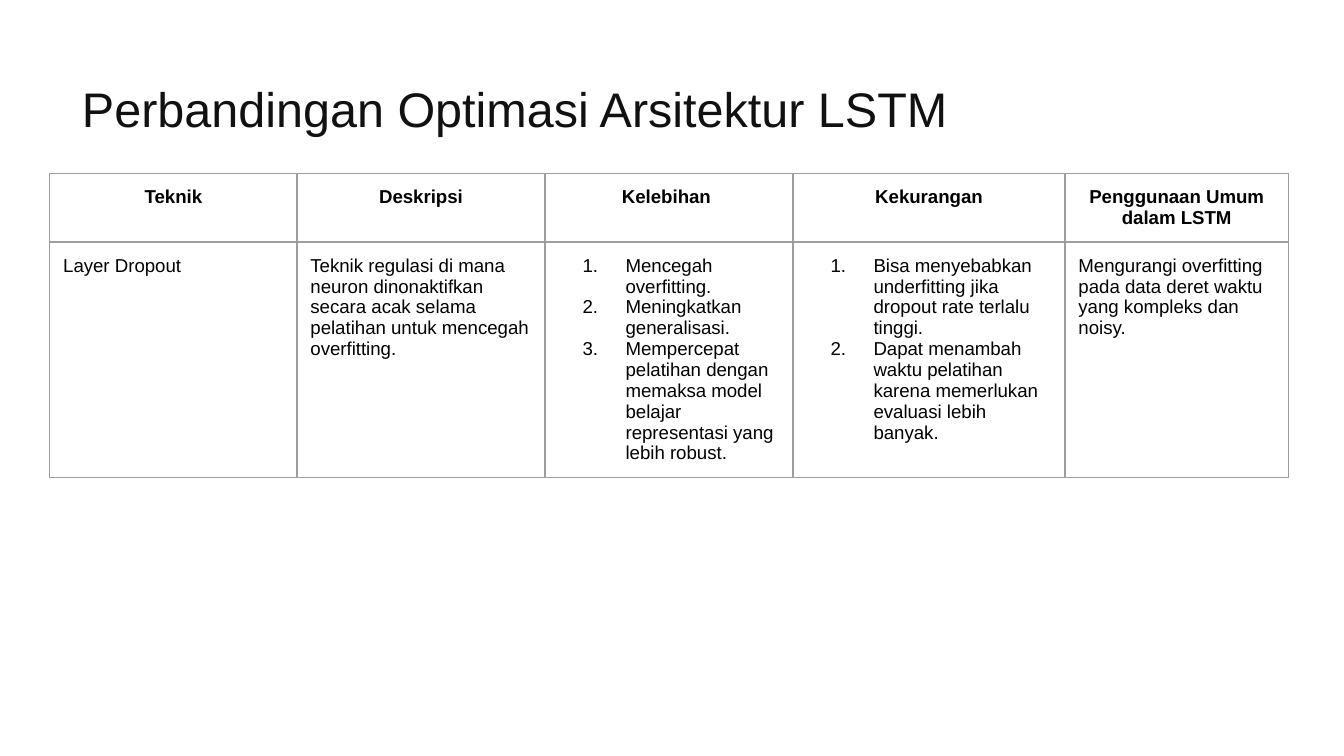
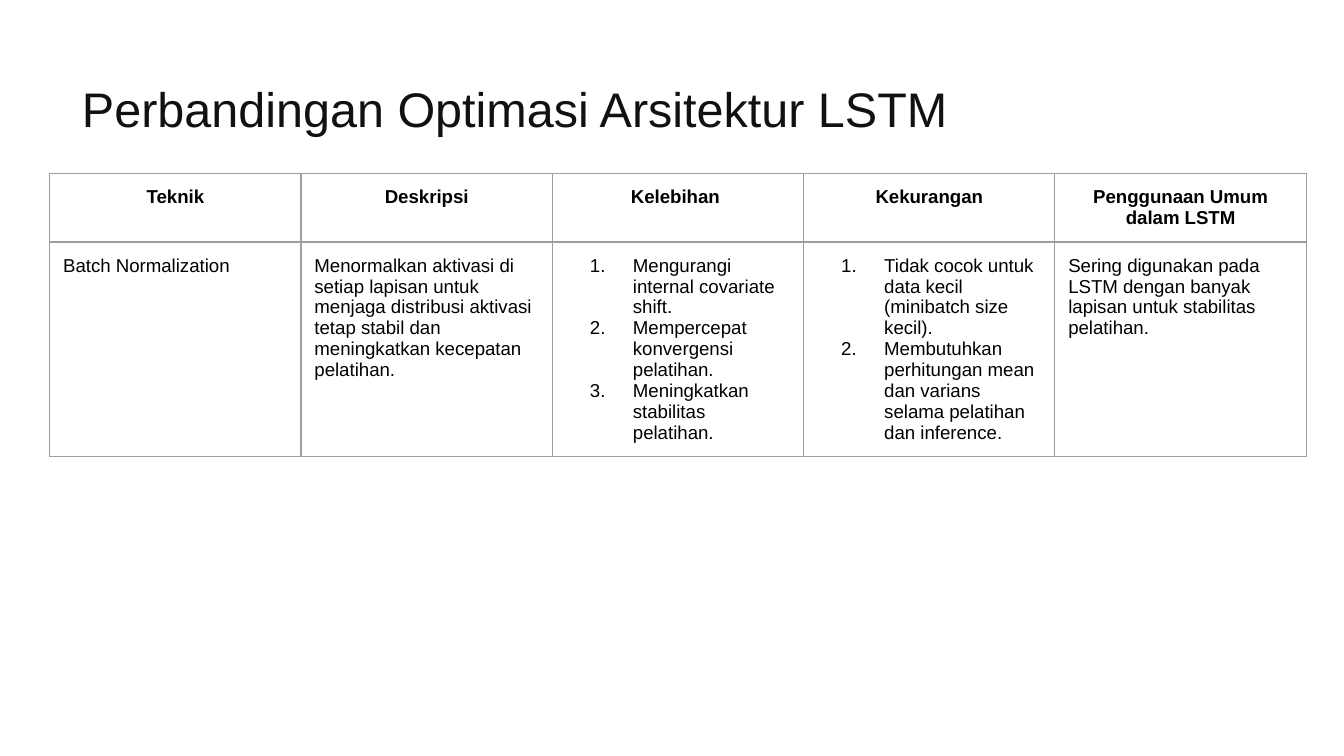
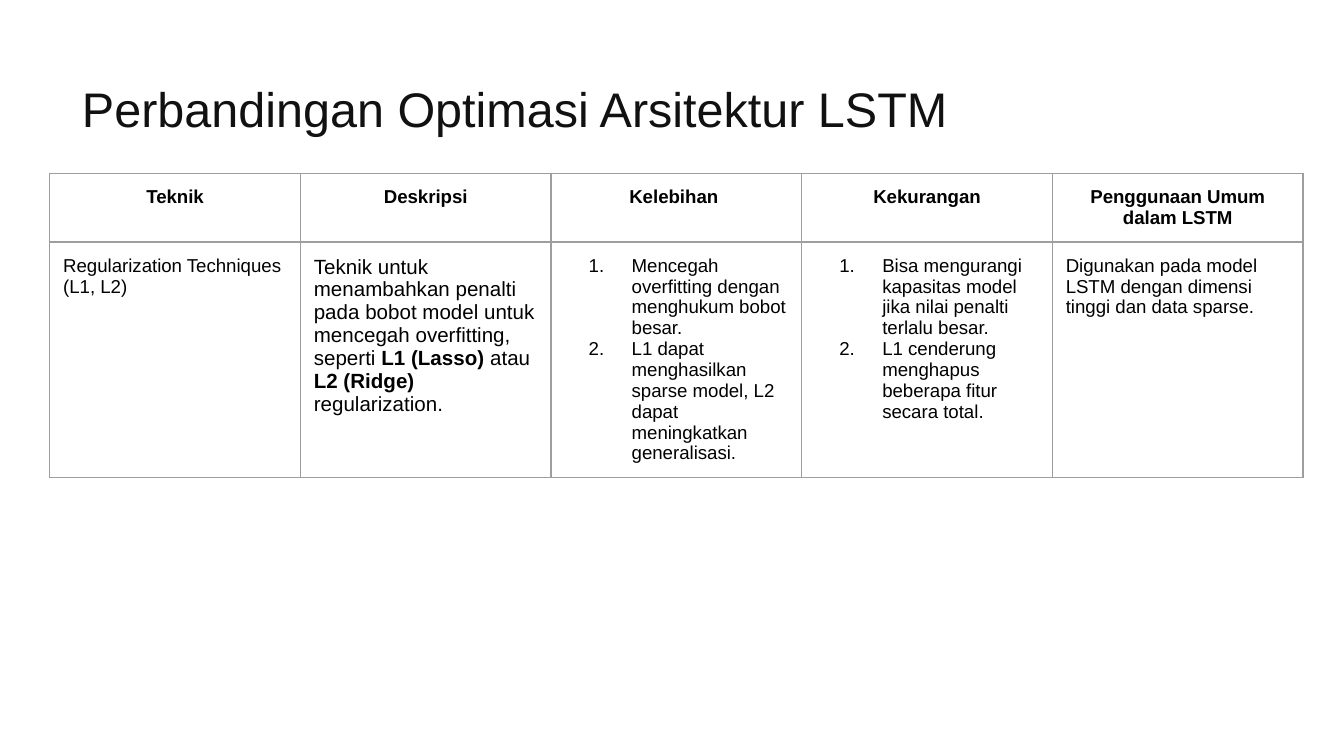
import dataclasses

import lxml.etree
import pptx
import pptx.dml.color
import pptx.enum.text
import pptx.oxml.ns
import pptx.util

PX = 4572
TITLE = "Perbandingan Optimasi Arsitektur LSTM"
HEADERS = ["Teknik", "Deskripsi", "Kelebihan ", "Kekurangan", "Penggunaan Umum dalam LSTM"]


@dataclasses.dataclass(frozen=True)
class Theme:
    """Colours, type sizes and measures shared by the slides."""
    font: str = "Arial"
    title_color: str = "111111"
    text_color: str = "000000"
    border_color: str = "9E9E9E"
    title_size: int = 26
    text_size: int = 10
    border_width: float = 0.75
    inset: int = 20
    list_indent: int = 100
    number_gap: int = 64


THEME = Theme()


@dataclasses.dataclass(frozen=True)
class Technique:
    """One optimisation technique and the column widths of its table."""
    name: str
    description: str
    strengths: list
    weaknesses: list
    usage: str
    widths: list
    description_size: int = THEME.text_size


TECHNIQUES = [
    Technique(
        "Layer Dropout",
        "Teknik regulasi di mana neuron dinonaktifkan secara acak selama pelatihan "
        "untuk mencegah overfitting.",
        ["Mencegah overfitting.",
         "Meningkatkan generalisasi.",
         "Mempercepat pelatihan dengan memaksa model belajar representasi yang lebih robust."],
        ["Bisa menyebabkan underfitting jika dropout rate terlalu tinggi.",
         "Dapat menambah waktu pelatihan karena memerlukan evaluasi lebih banyak."],
        "Mengurangi overfitting pada data deret waktu yang kompleks dan noisy.",
        [368, 369, 369, 405, 332],
    ),
    Technique(
        "Batch Normalization",
        "Menormalkan aktivasi di setiap lapisan untuk menjaga distribusi aktivasi "
        "tetap stabil dan meningkatkan kecepatan pelatihan.",
        ["Mengurangi internal covariate shift.",
         "Mempercepat konvergensi pelatihan.",
         "Meningkatkan stabilitas pelatihan."],
        ["Tidak cocok untuk data kecil (minibatch size kecil).",
         "Membutuhkan perhitungan mean dan varians selama pelatihan dan inference."],
        "Sering digunakan pada LSTM dengan banyak lapisan untuk stabilitas pelatihan.",
        [374] * 5,
    ),
    Technique(
        "Regularization Techniques (L1, L2)",
        "Teknik untuk menambahkan penalti pada bobot model untuk mencegah overfitting, "
        "seperti **L1 (Lasso)** atau **L2 (Ridge)** regularization.",
        ["Mencegah overfitting dengan menghukum bobot besar.",
         "L1 dapat menghasilkan sparse model, L2 dapat meningkatkan generalisasi."],
        ["Bisa mengurangi kapasitas model jika nilai penalti terlalu besar.",
         "L1 cenderung menghapus beberapa fitur secara total."],
        "Digunakan pada model LSTM dengan dimensi tinggi dan data sparse.",
        [373] * 5,
        description_size=11,
    ),
]


def px(length):
    """Turn px into EMU."""
    return pptx.util.Emu(length * PX)


def add_element(parent, tag, **attributes):
    """Append a DrawingML element to its parent."""
    return lxml.etree.SubElement(parent, pptx.oxml.ns.qn(tag), attributes)


def style_paragraph(para, size, color, bold=False):
    """Set the font of a whole paragraph."""
    para.font.name = THEME.font
    para.font.size = pptx.util.Pt(size)
    para.font.bold = bold
    para.font.color.rgb = pptx.dml.color.RGBColor.from_string(color)


def set_insets(box):
    """Give a cell or text frame the shared inner margins."""
    box.margin_left = box.margin_right = px(THEME.inset)
    box.margin_top = box.margin_bottom = px(THEME.inset)


def add_title(page):
    """Place and format the title placeholder."""
    box = page.shapes.title
    box.left, box.top, box.width, box.height = px(102), px(97), px(1790), px(126)
    frame = box.text_frame
    set_insets(frame)
    frame.word_wrap = True
    frame.auto_size = pptx.enum.text.MSO_AUTO_SIZE.NONE
    frame.vertical_anchor = pptx.enum.text.MSO_ANCHOR.TOP
    frame.text = TITLE
    para = frame.paragraphs[0]
    para.alignment = pptx.enum.text.PP_ALIGN.LEFT
    style_paragraph(para, THEME.title_size, THEME.title_color)


def number_paragraph(para):
    """Turn a paragraph into an item of a numbered list."""
    properties = para._p.get_or_add_pPr()
    properties.set("marL", str(px(THEME.list_indent)))
    properties.set("indent", str(px(-THEME.number_gap)))
    color = add_element(properties, "a:buClr")
    add_element(color, "a:srgbClr", val=THEME.text_color)
    add_element(properties, "a:buFont", typeface=THEME.font)
    add_element(properties, "a:buAutoNum", type="arabicPeriod")


def style_cell(cell):
    """Clear the fill of a cell and draw its four borders."""
    set_insets(cell)
    cell.vertical_anchor = pptx.enum.text.MSO_ANCHOR.TOP
    properties = cell._tc.get_or_add_tcPr()
    for side in ("a:lnL", "a:lnR", "a:lnT", "a:lnB"):
        line = add_element(properties, side, w=str(pptx.util.Pt(THEME.border_width)))
        fill = add_element(line, "a:solidFill")
        add_element(fill, "a:srgbClr", val=THEME.border_color)
    cell.fill.background()


def fill_cell(cell, content, size=THEME.text_size, header=False):
    """Write text, or a list as numbered items, into a cell; ** marks bold spans."""
    style_cell(cell)
    numbered = isinstance(content, list)
    frame = cell.text_frame
    for index, text in enumerate(content if numbered else [content]):
        para = frame.add_paragraph() if index else frame.paragraphs[0]
        if numbered:
            number_paragraph(para)
        if header:
            para.alignment = pptx.enum.text.PP_ALIGN.CENTER
        style_paragraph(para, size, THEME.text_color, header)
        for part, words in enumerate(text.split("**")):
            span = para.add_run()
            span.text = words
            if part % 2:
                span.font.bold = True


def add_comparison(page, technique):
    """Add the table that describes one technique."""
    row_height = 84
    frame = page.shapes.add_table(
        2, len(HEADERS), px(74), px(258), px(sum(technique.widths)), px(2 * row_height))
    table = frame.table
    table.first_row = table.horz_banding = False
    for row in table.rows:
        row.height = px(row_height)
    details = [technique.name, technique.description, technique.strengths,
               technique.weaknesses, technique.usage]
    for index, (header, detail) in enumerate(zip(HEADERS, details)):
        table.columns[index].width = px(technique.widths[index])
        fill_cell(table.cell(0, index), header, header=True)
        size = technique.description_size if header == "Deskripsi" else THEME.text_size
        fill_cell(table.cell(1, index), detail, size)


def main():
    """Build and save the deck."""
    deck = pptx.Presentation()
    deck.slide_width, deck.slide_height = px(2000), px(1125)
    for technique in TECHNIQUES:
        page = deck.slides.add_slide(deck.slide_layouts[5])
        add_title(page)
        add_comparison(page, technique)
    deck.save("out.pptx")


if __name__ == "__main__":
    main()
